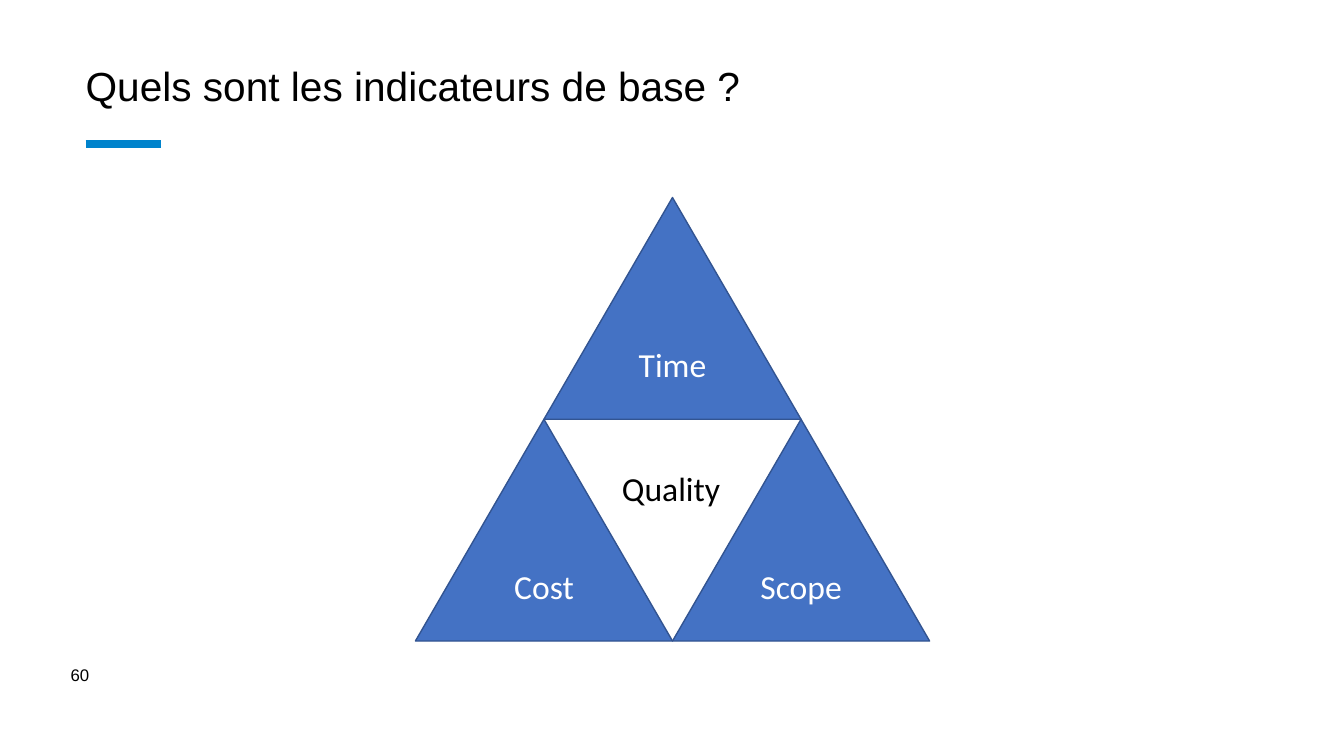
from pptx import Presentation
from pptx.dml.color import RGBColor
from pptx.enum.shapes import MSO_CONNECTOR, MSO_SHAPE
from pptx.enum.text import MSO_ANCHOR, PP_ALIGN
from pptx.oxml.ns import qn
from pptx.util import Inches, Pt
from lxml import etree

TRIANGLE = MSO_SHAPE.ISOSCELES_TRIANGLE
STRAIGHT = MSO_CONNECTOR.STRAIGHT
MIDDLE = MSO_ANCHOR.MIDDLE
LEFT, CENTER = PP_ALIGN.LEFT, PP_ALIGN.CENTER

TITLE = "Quels sont les indicateurs de base ?"
PAGE = "60"
CORE = "Quality"
# label, column in half widths, row
TRIANGLES = [("Time", 1, 0), ("Cost", 0, 1), ("Scope", 2, 1)]

PYRAMID_LEFT, PYRAMID_TOP = 4.12, 1.96
TRI_W, TRI_H = 2.55, 2.2
BLACK, WHITE = "000000", "FFFFFF"
ACCENT, FILL, OUTLINE = "0083CC", "4472C4", "325491"


def rgb(value):
    return RGBColor.from_string(value)


def write(sp, text, size, font="Calibri", color=BLACK, align=LEFT,
          inset=None, wrap=True, spacing=None):
    tf = sp.text_frame
    tf.word_wrap = wrap
    if inset is not None:
        tf.margin_left = tf.margin_right = Inches(inset)
        tf.margin_top = tf.margin_bottom = Inches(inset)
    p = tf.paragraphs[0]
    p.alignment = align
    p.line_spacing = spacing
    r = p.add_run()
    r.text = text
    r.font.size = Pt(size)
    r.font.name = font
    r.font.color.rgb = rgb(color)


def add_text(s, box, text, size, **fmt):
    sp = s.shapes.add_textbox(*map(Inches, box))
    write(sp, text, size, **fmt)


def add_triangle(s, label, col, row):
    left = PYRAMID_LEFT + col * TRI_W / 2
    top = PYRAMID_TOP + row * TRI_H
    sp = s.shapes.add_shape(TRIANGLE, Inches(left), Inches(top),
                            Inches(TRI_W), Inches(TRI_H))
    sp.shadow.inherit = False
    sp.fill.solid()
    sp.fill.fore_color.rgb = rgb(FILL)
    sp.line.color.rgb = rgb(OUTLINE)
    sp.line.width = Pt(1)
    sp.text_frame.vertical_anchor = MIDDLE
    write(sp, label, 24, color=WHITE, align=CENTER)


def add_rule(s, x1, x2, y):
    line = s.shapes.add_connector(STRAIGHT, Inches(x1), Inches(y),
                                  Inches(x2), Inches(y))
    line.line.color.rgb = rgb(ACCENT)
    line.line.width = Pt(6)
    etree.SubElement(line._element.spPr, qn("a:effectLst"))


def main():
    prs = Presentation()
    prs.slide_width, prs.slide_height = Inches(13.33), Inches(7.5)
    s = prs.slides.add_slide(prs.slide_layouts[6])
    add_text(s, (0.65, 6.55, 0.29, 0.27), PAGE, 12, font="Arial",
             inset=0.05, wrap=False)
    add_text(s, (0.8, 0.61, 9.04, 0.54), TITLE, 29, font="Arial",
             inset=0.05, spacing=0.9)
    add_rule(s, 0.85, 1.6, 1.43)
    for label, col, row in TRIANGLES:
        add_triangle(s, label, col, row)
    add_text(s, (6.07, 4.59, 1.19, 0.5), CORE, 24, wrap=False)
    prs.save("out.pptx")


if __name__ == "__main__":
    main()
